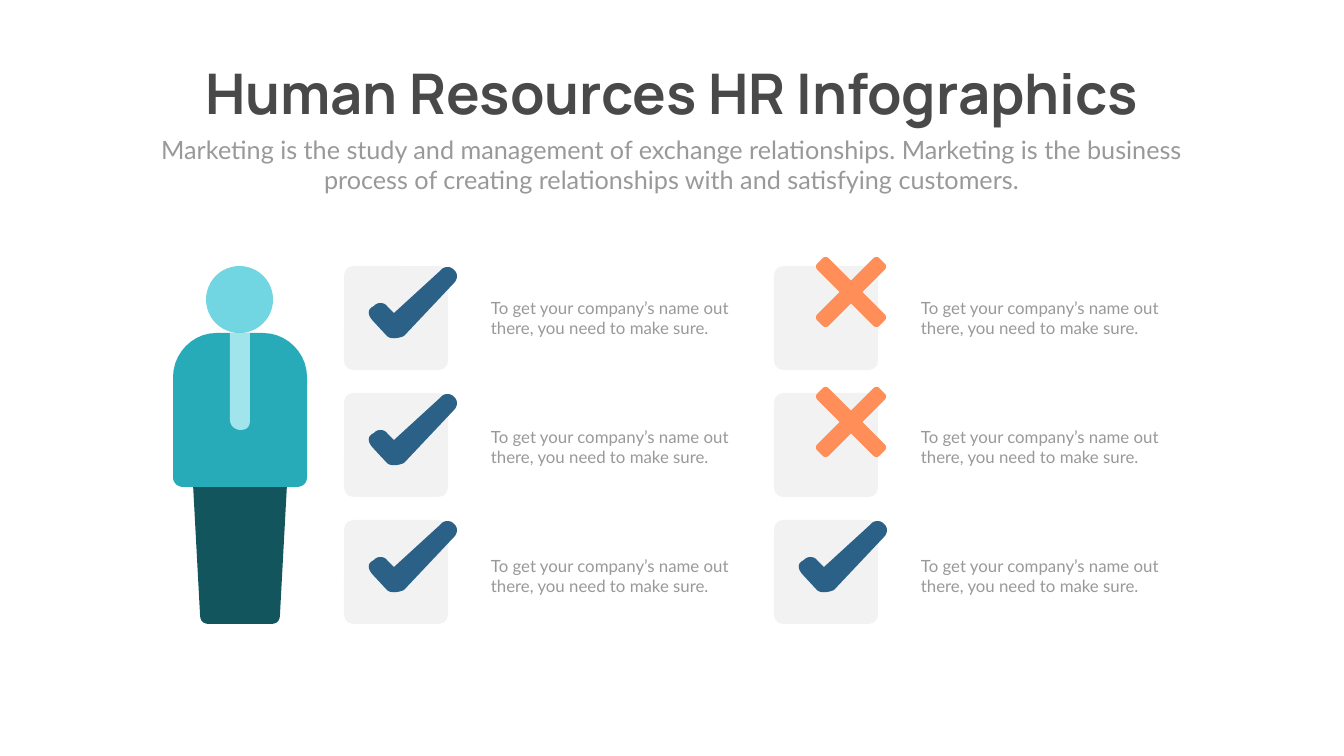
"""Build a slide with a human figure beside two columns of marked cards."""
import pptx
import pptx.dml.color
import pptx.enum.shapes
import pptx.enum.text
import pptx.util

TITLE = "Human Resources HR Infographics"
LEAD = ("Marketing is the study and management of exchange relationships. "
        "Marketing is the business process of creating relationships with and satisfying customers.")
NOTE = "To get your company’s name out there, you need to make sure."
CARDS = [
    [("check", NOTE), ("check", NOTE), ("check", NOTE)],
    [("cross", NOTE), ("cross", NOTE), ("check", NOTE)],
]

THEME = {
    "title": "494949", "grey": "999999", "card": "F2F2F2",
    "check": "2C6187", "cross": "FF8E58",
    "legs": "13555D", "head": "71D6E1", "coat": "27ABB9", "tie": "A1E4EB",
    "bold": "Manrope", "plain": "Lato",
    "big": 80, "mid": 36, "small": 24,
}

LEGS = [(287, 484), (280, 614), (280, 621, 277, 624, 270, 624),
        (210, 624), (203, 624, 200, 621, 200, 614), (193, 484)]
COAT = [(307, 377), (307, 477), (307, 483, 303, 487, 296, 487),
        (183, 487), (179, 487, 173, 484, 173, 477),
        (173, 377), (173, 353, 193, 333, 216, 333),
        (263, 333), (287, 333, 307, 353, 307, 377)]
TIE = [(250, 333), (250, 420), (250, 427, 247, 430, 240, 430),
       (237, 430, 230, 427, 230, 420), (230, 333)]
CHECK = [(43, 70), (46, 73, 53, 73, 60, 70), (110, 17),
         (114, 13, 114, 7, 110, 4), (107, 0, 100, 0, 97, 4),
         (50, 47), (43, 40), (40, 36, 33, 36, 30, 40), (23, 43, 23, 49, 30, 56)]
ARM = [(-8, -8), (-8, -40), (-8, -42, -6, -44, -4, -44),
       (4, -44), (6, -44, 8, -42, 8, -40)]

SCALE = 914400 / 50.4
LEFT, TOP = 344, 266
SIDE, COL, ROW = 104, 430, 127
KIND = pptx.enum.shapes.MSO_SHAPE
ALIGN = pptx.enum.text.PP_ALIGN


def emu(px):
    return pptx.util.Emu(round(px * SCALE))


def color(name):
    return pptx.dml.color.RGBColor.from_string(THEME[name])


def paint(shape, fill):
    shape.shadow.inherit = False
    shape.fill.solid()
    shape.fill.fore_color.rgb = color(fill)
    shape.line.fill.background()
    return shape


def basic(slide, kind, box, fill):
    return paint(slide.shapes.add_shape(kind, *map(emu, box)), fill)


def trace(steps, count=10):
    dots = []
    for step in steps:
        if len(step) == 2:
            dots.append(step)
            continue
        curve = [dots[-1], step[:2], step[2:4], step[4:]]
        for t in (i / count for i in range(1, count + 1)):
            parts = ((1 - t) ** 3, 3 * t * (1 - t) ** 2, 3 * t * t * (1 - t), t ** 3)
            dots.append(tuple(sum(p * dot[axis] for p, dot in zip(parts, curve))
                              for axis in (0, 1)))
    return dots


def draw(slide, dots, fill, x=0, y=0):
    spots = [(emu(x + a), emu(y + b)) for a, b in dots]
    form = slide.shapes.build_freeform(*spots[0])
    form.add_line_segments(spots[1:], close=True)
    return paint(form.convert_to_shape(), fill)


def write(slide, text, box, size="small", font="plain", fill="grey",
          bold=False, align=ALIGN.LEFT, wrap=True):
    frame = slide.shapes.add_textbox(*map(emu, box)).text_frame
    frame.word_wrap = wrap
    frame.auto_size = pptx.enum.text.MSO_AUTO_SIZE.SHAPE_TO_FIT_TEXT
    line = frame.paragraphs[0]
    line.alignment = align
    run = line.add_run()
    run.text = text
    run.font.size = pptx.util.Pt(THEME[size])
    run.font.name = THEME[font]
    run.font.bold = bold
    run.font.color.rgb = color(fill)


def plus():
    dots, arm = [], trace(ARM)
    for turn in range(4):
        dots += arm
        arm = [(-y, x) for x, y in arm]
    return dots


def person(slide):
    draw(slide, trace(LEGS), "legs")
    basic(slide, KIND.OVAL, (206, 266, 67, 67), "head")
    draw(slide, trace(COAT), "coat")
    draw(slide, trace(TIE), "tie")


def card(slide, col, row, mark, text):
    x, y = LEFT + col * COL, TOP + row * ROW
    tile = basic(slide, KIND.ROUNDED_RECTANGLE, (x, y, SIDE, SIDE), "card")
    tile.adjustments[0] = 0.09
    if mark == "check":
        draw(slide, trace(CHECK), mark, x, y)
    else:
        draw(slide, plus(), mark, x + 77, 292 + row * 130).rotation = 45
    write(slide, text, (x + 142, 295 + row * 129, 256, 46))


def main():
    deck = pptx.Presentation()
    deck.slide_width, deck.slide_height = emu(1344), emu(756)
    slide = deck.slides.add_slide(deck.slide_layouts[6])
    write(slide, TITLE, (165, 56, 1014, 73), size="big", font="bold",
          fill="title", bold=True, align=ALIGN.CENTER, wrap=False)
    write(slide, LEAD, (147, 132, 1049, 66), size="mid", align=ALIGN.CENTER)
    person(slide)
    for col, cards in enumerate(CARDS):
        for row, (mark, text) in enumerate(cards):
            card(slide, col, row, mark, text)
    deck.save("out.pptx")


if __name__ == "__main__":
    main()
